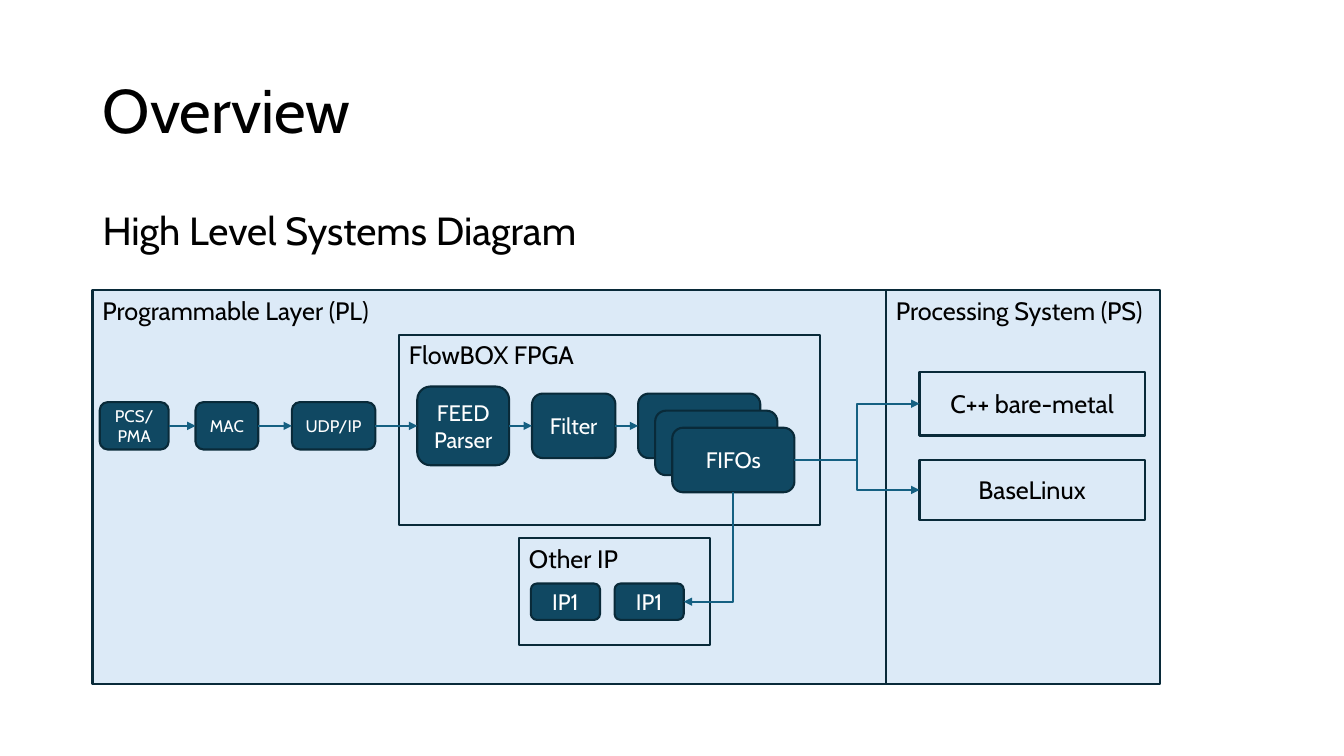
from dataclasses import dataclass
from typing import Any

from lxml import etree
from pptx import Presentation
from pptx.dml.color import RGBColor
from pptx.enum.shapes import MSO_CONNECTOR, MSO_SHAPE
from pptx.enum.text import MSO_ANCHOR, MSO_AUTO_SIZE, PP_ALIGN
from pptx.oxml.ns import qn
from pptx.util import Pt

RECT, ROUND = MSO_SHAPE.RECTANGLE, MSO_SHAPE.ROUNDED_RECTANGLE
LINE, ELBOW = MSO_CONNECTOR.STRAIGHT, MSO_CONNECTOR.ELBOW
TOP, MIDDLE = MSO_ANCHOR.TOP, MSO_ANCHOR.MIDDLE
LEFT, CENTER = PP_ALIGN.LEFT, PP_ALIGN.CENTER
FIXED = MSO_AUTO_SIZE.NONE
WEST, SOUTH, EAST = 1, 2, 3


@dataclass(frozen=True)
class Theme:
    font: str = "Cabin"
    black: RGBColor = RGBColor(0, 0, 0)
    white: RGBColor = RGBColor(255, 255, 255)
    pale: RGBColor = RGBColor(0xDC, 0xEA, 0xF7)
    deep: RGBColor = RGBColor(0x10, 0x48, 0x62)
    edge: RGBColor = RGBColor(0x09, 0x2A, 0x39)
    wire: RGBColor = RGBColor(0x15, 0x60, 0x82)
    title: float = 44
    body: float = 28
    panel: float = 18
    block: float = 16
    small: float = 12
    stroke: float = 1.5


@dataclass(frozen=True)
class Look:
    form: Any
    fill: RGBColor
    ink: RGBColor
    size: float
    anchor: Any
    align: Any


@dataclass(frozen=True)
class Box:
    key: str
    text: str
    look: Look
    left: float
    top: float
    width: float
    height: float


@dataclass(frozen=True)
class Link:
    start: str
    end: str
    kind: Any = LINE
    out: int = EAST
    into: int = WEST


THEME = Theme()
PANEL = Look(RECT, THEME.pale, THEME.black, THEME.panel, TOP, LEFT)
HOST = Look(RECT, THEME.pale, THEME.black, THEME.panel, MIDDLE, CENTER)
BLOCK = Look(ROUND, THEME.deep, THEME.white, THEME.block, MIDDLE, CENTER)
SMALL = Look(ROUND, THEME.deep, THEME.white, THEME.small, MIDDLE, CENTER)
AXIS = 304.2
STEP = 12.2


def row(key: str, text: str, look: Look, left: float, width: float, height: float) -> Box:
    return Box(key, text, look, left, AXIS - height / 2, width, height)


BOXES = [
    Box("logic", "Programmable Layer (PL)", PANEL, 66.1, 207.4, 566.8, 281.5),
    Box("system", "Processing System (PS)", PANEL, 632.9, 207.4, 196, 281.5),
    Box("fpga", "FlowBOX FPGA", PANEL, 285, 239, 301, 136.2),
    Box("other", "Other IP", PANEL, 370.8, 384.5, 136.4, 76.3),
    row("pcs", "PCS/\nPMA", SMALL, 71.3, 49.2, 33.8),
    row("mac", "MAC", SMALL, 139.7, 44.8, 33.8),
    row("udp", "UDP/IP", SMALL, 208.5, 59.6, 33.8),
    row("parser", "FEED Parser", BLOCK, 298.1, 65.6, 56.2),
    row("filter", "Filter", BLOCK, 380, 59.6, 46.1),
    *(Box(f"fifo{i}", "FIFOs" if i == 2 else "", BLOCK,
          455.8 + i * STEP, AXIS - 23.05 + i * STEP, 87.3, 46.1) for i in range(3)),
    *(Box(f"ip{i}", "IP1", BLOCK, 379.2 + i * 59.8, 416.8, 49.4, 26) for i in range(2)),
    Box("metal", "C++ bare-metal", HOST, 656.8, 265.7, 160.8, 45.4),
    Box("linux", "BaseLinux", HOST, 656.8, 328.3, 160.8, 43.3),
]

LINKS = [
    Link("pcs", "mac"),
    Link("mac", "udp"),
    Link("udp", "parser", ELBOW),
    Link("parser", "filter"),
    Link("filter", "fifo0"),
    Link("fifo2", "metal", ELBOW),
    Link("fifo2", "linux", ELBOW),
    Link("fifo2", "ip1", ELBOW, SOUTH, EAST),
]


def apply(item: Any, form: dict[str, Any]) -> None:
    for name, value in form.items():
        setattr(item, name, value)


def place(item: Any, left: float, top: float, width: float, height: float) -> None:
    apply(item, {"left": Pt(left), "top": Pt(top), "width": Pt(width), "height": Pt(height)})


def write(frame: Any, text: str, size: float, ink: RGBColor, anchor: Any, align: Any) -> None:
    frame.text = text
    apply(frame, {"word_wrap": True, "auto_size": FIXED, "vertical_anchor": anchor})
    for para in frame.paragraphs:
        para.alignment = align
        apply(para.font, {"name": THEME.font, "size": Pt(size)})
        para.font.color.rgb = ink


def draw_box(slide: Any, box: Box) -> Any:
    look = box.look
    shape = slide.shapes.add_shape(
        look.form, Pt(box.left), Pt(box.top), Pt(box.width), Pt(box.height))
    shape.shadow.inherit = False
    shape.fill.solid()
    shape.fill.fore_color.rgb = look.fill
    shape.line.color.rgb = THEME.edge
    shape.line.width = Pt(THEME.stroke)
    if box.text:
        write(shape.text_frame, box.text, look.size, look.ink, look.anchor, look.align)
    return shape


def turn(wire: Any) -> None:
    left, top, wide, high = wire.left, wire.top, wire.width, wire.height
    shift = (wide - high) // 2
    apply(wire, {"left": left + shift, "top": top - shift, "width": high, "height": wide})
    props = wire.element.spPr
    frame = props.find(qn("a:xfrm"))
    frame.attrib.pop("flipH", None)
    frame.set("rot", str(90 * 60000))
    props.find(qn("a:prstGeom")).set("prst", "bentConnector2")


def draw_link(slide: Any, link: Link, nodes: dict[str, Any]) -> None:
    wire = slide.shapes.add_connector(link.kind, 0, 0, 0, 0)
    wire.begin_connect(nodes[link.start], link.out)
    wire.end_connect(nodes[link.end], link.into)
    wire.line.color.rgb = THEME.wire
    wire.line.width = Pt(THEME.stroke)
    if link.out == SOUTH:
        turn(wire)
    props = wire.element.spPr
    etree.SubElement(props.find(qn("a:ln")), qn("a:tailEnd"), type="triangle")
    etree.SubElement(props, qn("a:effectLst"))


def draw_text(slide: Any) -> None:
    title = slide.shapes.title
    place(title, 66.2, 28.8, 828, 104.4)
    write(title.text_frame, "Overview", THEME.title, THEME.black, MIDDLE, LEFT)
    title.text_frame.paragraphs[0].line_spacing = 0.9

    body = slide.shapes.add_textbox(Pt(66.2), Pt(144), Pt(828), Pt(50))
    para = body.text_frame.paragraphs[0]
    props = para._p.get_or_add_pPr()
    apply(props, {})
    for name, value in {"marL": Pt(18), "indent": Pt(-18)}.items():
        props.set(name, str(value))
    etree.SubElement(props, qn("a:buFont"), typeface="Arial")
    etree.SubElement(props, qn("a:buChar"), char="•")
    write(body.text_frame, "High Level Systems Diagram", THEME.body, THEME.black, TOP, LEFT)
    para.line_spacing = 0.9


def main() -> None:
    deck = Presentation()
    apply(deck, {"slide_width": Pt(960), "slide_height": Pt(540)})
    slide = deck.slides.add_slide(deck.slide_layouts[5])
    draw_text(slide)
    nodes = {box.key: draw_box(slide, box) for box in BOXES}
    for link in LINKS:
        draw_link(slide, link, nodes)
    deck.save("out.pptx")


if __name__ == "__main__":
    main()
